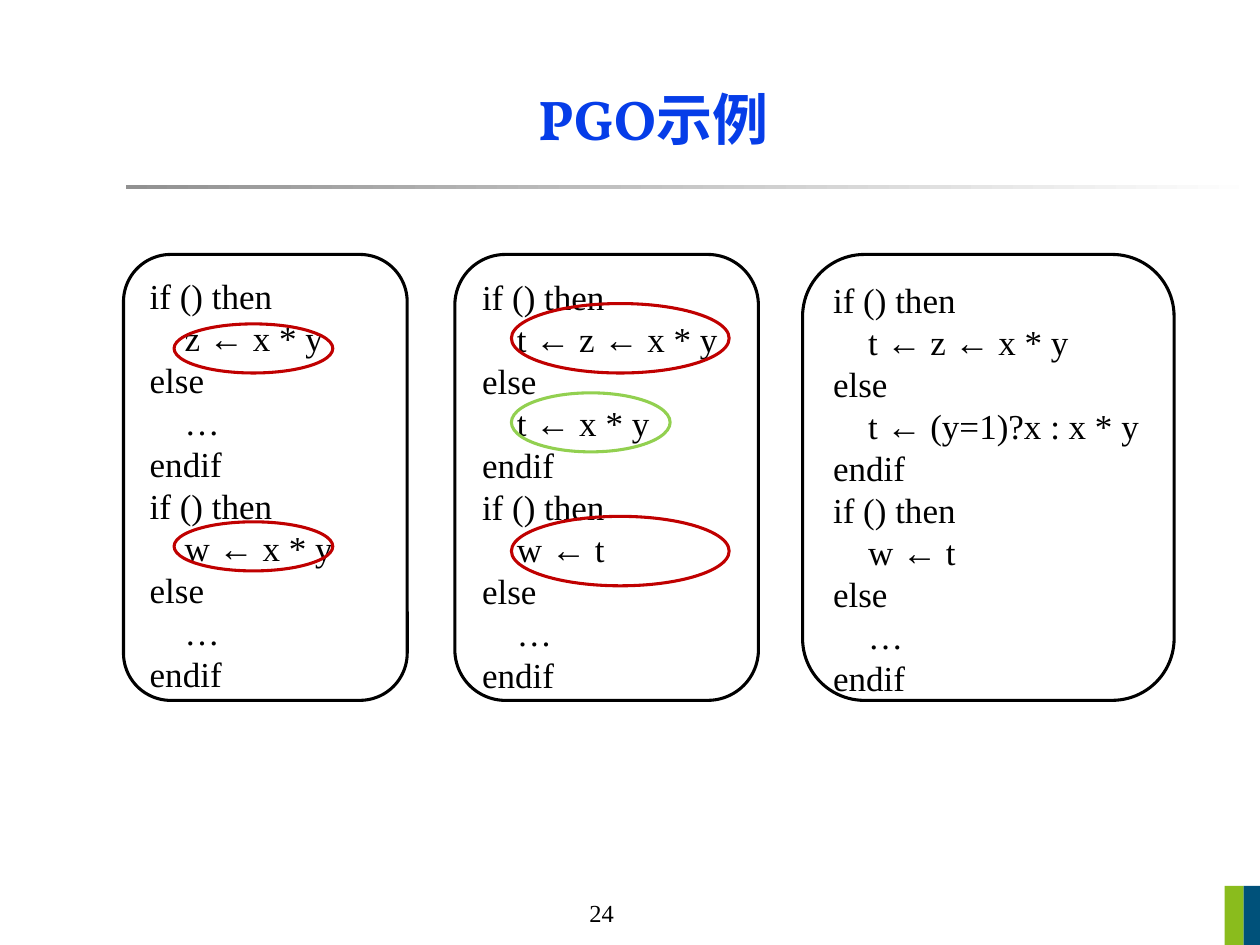
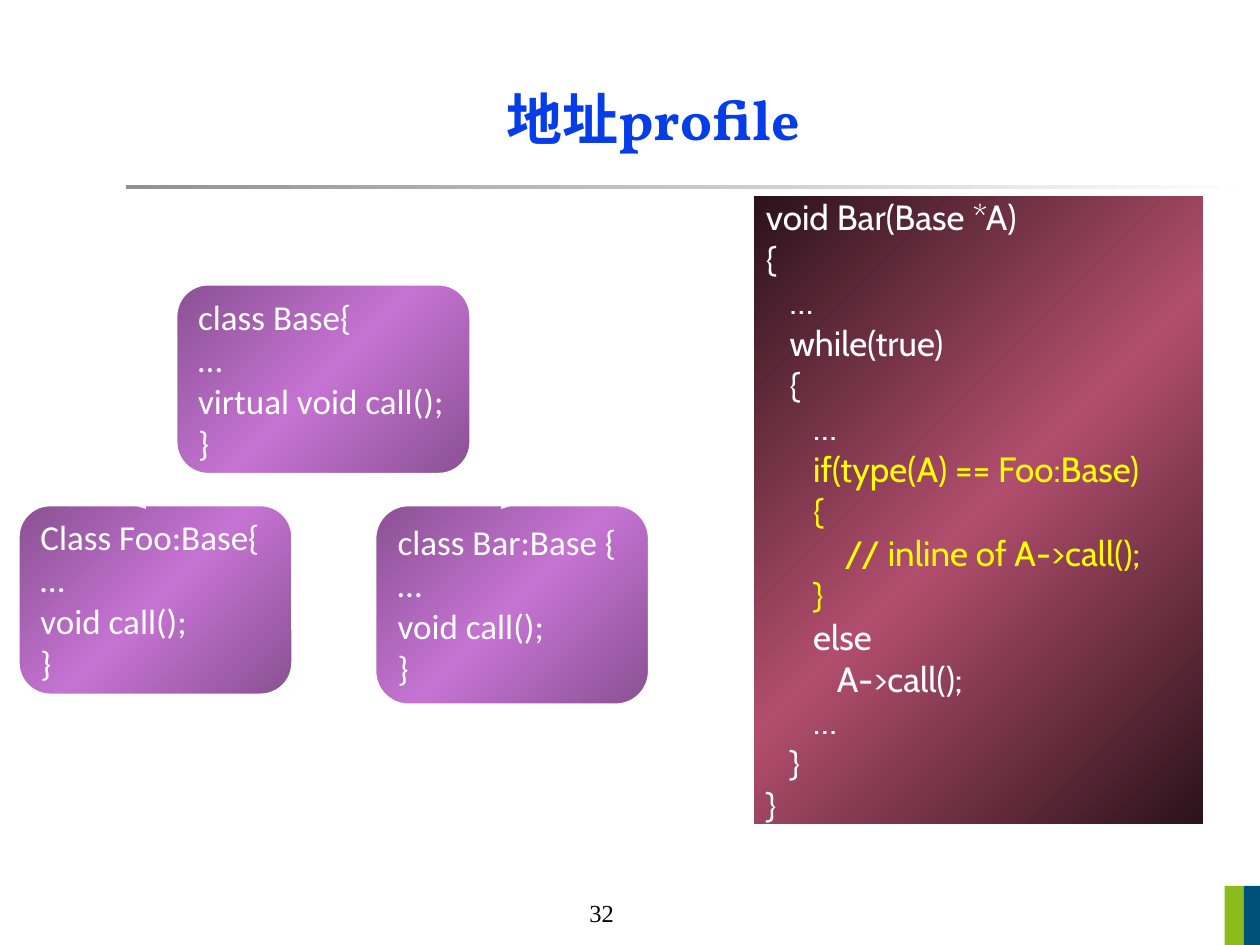
from lxml import etree
from pptx import Presentation
from pptx.dml.color import RGBColor
from pptx.enum.shapes import MSO_CONNECTOR, MSO_SHAPE
from pptx.enum.text import MSO_ANCHOR, MSO_AUTO_SIZE, PP_ALIGN
from pptx.oxml.ns import qn
from pptx.util import Cm, Pt

RECT, ROUND, OVAL = MSO_SHAPE.RECTANGLE, MSO_SHAPE.ROUNDED_RECTANGLE, MSO_SHAPE.OVAL
STRAIGHT = MSO_CONNECTOR.STRAIGHT
TOP, MIDDLE = MSO_ANCHOR.TOP, MSO_ANCHOR.MIDDLE
LEFT, CENTER = PP_ALIGN.LEFT, PP_ALIGN.CENTER
GROW = MSO_AUTO_SIZE.SHAPE_TO_FIT_TEXT


class Theme:
    title, black, white = "063DE8", "000000", "FFFFFF"
    green, blue = "8ABC1D", "00517A"
    red, lime, yellow = "C00000", "92D050", "FFFF00"
    rule = ("919191", "FFFFFF")
    purple = ("8A5193", "C573D2", "8A5193")
    wine = ("2A121A", "B24E6D", "2A121A")
    serif, heading, sans, code = "Times New Roman", "Vollkorn", "Calibri", "Cabin"
    title_size, body_size, number_size = 32, 20, 14
    outline, thin = 1.75, 1


def add_box(s, kind, at, fill=None, line=None, width=Theme.thin, angle=0):
    """Add a shape; a tuple as fill makes an evenly spaced gradient."""
    sp = s.shapes.add_shape(kind, *map(Cm, at))
    sp.shadow.inherit = False
    if fill is None:
        sp.fill.background()
    elif isinstance(fill, str):
        sp.fill.solid()
        sp.fill.fore_color.rgb = RGBColor.from_string(fill)
    else:
        sp.fill.gradient()
        sp.fill.gradient_angle = -angle % 360
        stops = sp._element.spPr.find(qn("a:gradFill")).find(qn("a:gsLst"))
        for old in list(stops):
            stops.remove(old)
        for i, color in enumerate(fill):
            gs = etree.SubElement(stops, qn("a:gs"), pos=str(100000 * i // (len(fill) - 1)))
            etree.SubElement(gs, qn("a:srgbClr"), val=color)
    if line:
        sp.line.color.rgb = RGBColor.from_string(line)
        sp.line.width = Pt(width)
    else:
        sp.line.fill.background()
    return sp


def write(sp, text, font, size, color, anchor=TOP, align=LEFT, wrap=True, bold=False):
    """Write one paragraph per line of text."""
    tf = sp.text_frame
    tf.word_wrap = wrap
    tf.vertical_anchor = anchor
    for i, line in enumerate(text.split("\n")):
        p = tf.paragraphs[0] if i == 0 else tf.add_paragraph()
        p.text = line
        p.alignment = align
        p.font.name = font
        p.font.size = Pt(size)
        p.font.bold = bold
        p.font.color.rgb = RGBColor.from_string(color)
    return tf


prs = Presentation()
prs.slide_width, prs.slide_height = Cm(25.4), Cm(19.05)

# Shared frame: slide number, rule, corner bars, title
slides = []
for title, number in (("PGO示例", "24"), ("地址profile", "32")):
    s = prs.slides.add_slide(prs.slide_layouts[6])
    slides.append(s)
    sp = s.shapes.add_textbox(Cm(11.63), Cm(17.98), Cm(1.09), Cm(0.84))
    tf = write(sp, number, Theme.serif, Theme.number_size, Theme.black, wrap=False)
    tf.auto_size = GROW
    add_box(s, RECT, (2.54, 3.73, 22.86, 0.08), Theme.rule)
    add_box(s, RECT, (24.69, 17.86, 0.38, 1.19), Theme.green)
    add_box(s, RECT, (25.07, 17.86, 0.33, 1.19), Theme.blue)
    sp = s.shapes.add_textbox(Cm(2.69), Cm(1.12), Cm(20.96), Cm(2.54))
    write(sp, title, Theme.heading, Theme.title_size, Theme.title, MIDDLE, CENTER, bold=True)
pgo, address = slides

# Slide 1: three stages of the same code
template = """if () then
    {}
else
    {}
endif
if () then
    {}
else
    …
endif"""
stages = (
    (2.49, 5.72, ("z ← x * y", "…", "w ← x * y")),
    (9.17, 6.12, ("t ← z ← x * y", "t ← x * y", "w ← t")),
    (16.18, 7.49, ("t ← z ← x * y", "t ← (y=1)?x : x * y", "w ← t")),
)
for x, w, statements in stages:
    sp = add_box(pgo, ROUND, (x, 5.13, w, 8.99), line=Theme.black, width=Theme.outline)
    write(sp, template.format(*statements), Theme.serif, Theme.body_size, Theme.black)

# Slide 1: rings around the changed statements
rings = (
    ((3.51, 6.53, 3.2, 0.99), Theme.red),
    ((3.51, 10.52, 3.2, 0.99), Theme.red),
    ((10.31, 6.12, 4.39, 1.4), Theme.red),
    ((10.31, 10.41, 4.39, 1.4), Theme.red),
    ((10.31, 7.92, 3.2, 1.19), Theme.lime),
)
for at, color in rings:
    add_box(pgo, OVAL, at, line=color, width=Theme.outline)

# Slide 2: class hierarchy
classes = (
    ((0.38, 10.19, 5.51, 3.81), "Class Foo:Base{\n…\nvoid call();\n}"),
    ((7.57, 10.19, 5.51, 4.01), "class Bar:Base {\n…\nvoid call();\n}"),
    ((3.56, 5.74, 5.92, 3.81), "class Base{\n…\nvirtual void call();\n}"),
)
boxes = []
for at, text in classes:
    sp = add_box(address, ROUND, at, Theme.purple, Theme.white, angle=45)
    write(sp, text, Theme.sans, Theme.body_size, Theme.white, MIDDLE, wrap=False)
    boxes.append(sp)
foo, bar, base = boxes

# Slide 2: code with the inlined call highlighted
code = """void Bar(Base *A)
{
   …
   while(true)
   {
      …
      if(type(A) == Foo:Base)
      {
          // inline of A->call();
      }
      else
         A->call();
      …
   }
}"""
sp = add_box(address, RECT, (15.19, 3.94, 9.09, 12.7), Theme.wine, Theme.white, angle=45)
tf = write(sp, code, Theme.code, Theme.body_size, Theme.white, MIDDLE, wrap=False)
for p in tf.paragraphs[6:10]:
    p.font.color.rgb = RGBColor.from_string(Theme.yellow)

# Slide 2: arrows from the base class to its subclasses
for x, target in ((2.72, None), (10.34, bar)):
    c = address.shapes.add_connector(STRAIGHT, Cm(6.53), Cm(9.55), Cm(x), Cm(10.19))
    c.begin_connect(base, 2)
    if target:
        c.end_connect(target, 0)
    c.line.color.rgb = RGBColor.from_string(Theme.white)
    c.line.width = Pt(Theme.thin)
    etree.SubElement(c.line._get_or_add_ln(), qn("a:tailEnd"), type="triangle")
    etree.SubElement(c._element.spPr, qn("a:effectLst"))

prs.save("out.pptx")
